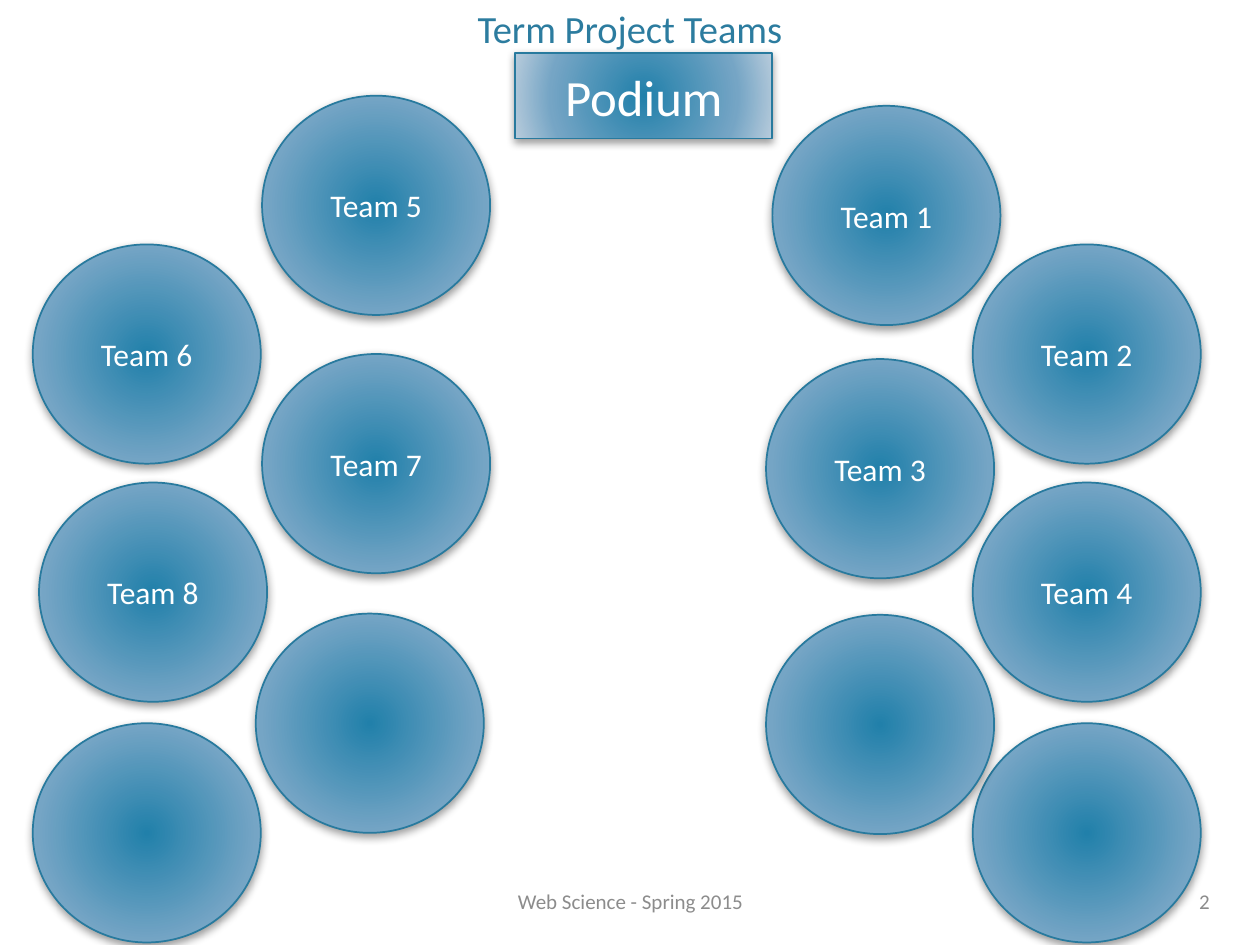
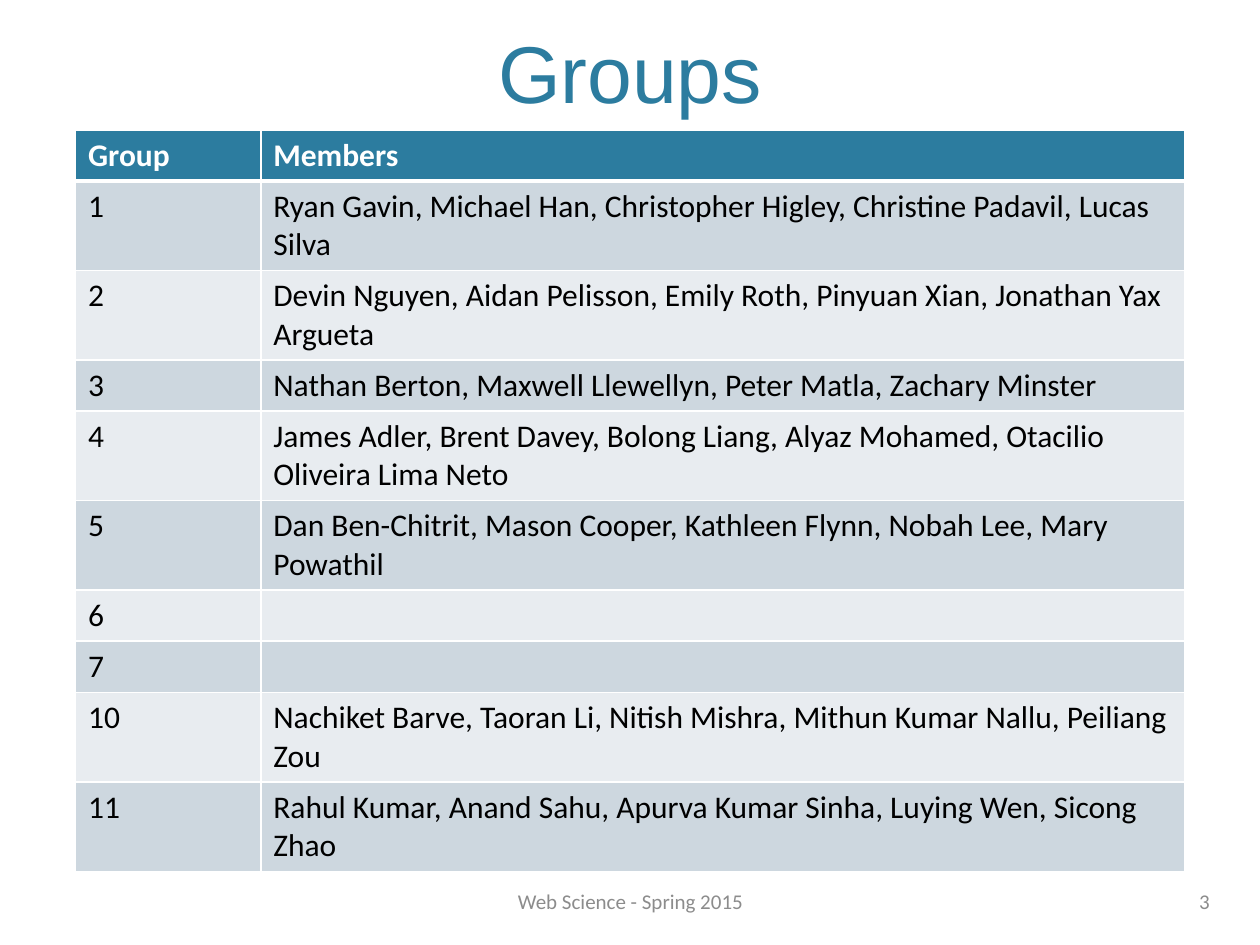
from lxml.etree import SubElement
from pptx import Presentation
from pptx.dml.color import RGBColor
from pptx.enum.shapes import MSO_SHAPE as SHAPE
from pptx.enum.text import MSO_ANCHOR as ANCHOR, MSO_AUTO_SIZE as AUTO, PP_ALIGN as ALIGN
from pptx.oxml import parse_xml
from pptx.oxml.ns import nsdecls, qn
from pptx.util import Inches, Pt

# Shared look
TEAL = RGBColor(0x2C, 0x7C, 0x9F)
OUTLINE = RGBColor(0x28, 0x7A, 0x9E)
WHITE = RGBColor(0xFF, 0xFF, 0xFF)
BLACK = RGBColor(0, 0, 0)
GREY = RGBColor(0x8C, 0x8C, 0x8C)
BAND_DARK = RGBColor(0xCD, 0xD7, 0xDF)
BAND_LIGHT = RGBColor(0xE8, 0xEC, 0xF0)
GLOW = [(0, RGBColor(0x21, 0x80, 0xAA)), (69, RGBColor(0x75, 0xA5, 0xC5)),
        (100, RGBColor(0xB8, 0xCC, 0xDC))]
BODY_FONT = "Calibri"
FOOTER = "Web Science - Spring 2015"

# Seating plan: left, top and label of each table
TABLE_W, TABLE_H = 1.81, 1.74
SEATING = [
    (2.08, 0.76, "Team 5"), (0.26, 1.94, "Team 6"),
    (7.72, 5.74, ""), (6.08, 4.88, ""),
    (7.72, 3.83, "Team 4"), (6.08, 2.85, "Team 3"),
    (7.72, 1.94, "Team 2"), (6.13, 0.84, "Team 1"),
    (2.08, 2.81, "Team 7"), (0.31, 3.83, "Team 8"),
    (2.03, 4.87, ""), (0.26, 5.74, ""),
]

GROUPS = [
    ("Group", "Members"),
    ("1", "Ryan Gavin, Michael Han, Christopher Higley, Christine Padavil, Lucas Silva"),
    ("2", "Devin Nguyen, Aidan Pelisson, Emily Roth, Pinyuan Xian, Jonathan Yax Argueta"),
    ("3", "Nathan Berton, Maxwell Llewellyn, Peter Matla, Zachary Minster"),
    ("4", "James Adler, Brent Davey, Bolong Liang, Alyaz Mohamed, Otacilio Oliveira Lima Neto"),
    ("5", "Dan Ben-Chitrit, Mason Cooper, Kathleen Flynn, Nobah Lee, Mary Powathil"),
    ("6", ""),
    ("7", ""),
    ("10", "Nachiket Barve, Taoran Li, Nitish Mishra, Mithun Kumar Nallu, Peiliang Zou"),
    ("11", "Rahul Kumar, Anand Sahu, Apurva Kumar Sinha, Luying Wen, Sicong Zhao"),
]


def set_text(tf, text, size, color, align=ALIGN.LEFT, font=BODY_FONT, bold=False):
    tf.text = text
    p = tf.paragraphs[0]
    p.alignment = align
    for r in p.runs:
        r.font.name, r.font.size, r.font.bold = font, Pt(size), bold
        r.font.color.rgb = color


def add_titled_slide(prs, title, box, size, font=BODY_FONT):
    slide = prs.slides.add_slide(prs.slide_layouts[5])
    sp = slide.shapes.title
    sp.left, sp.top, sp.width, sp.height = (Inches(v) for v in box)
    tf = sp.text_frame
    tf.auto_size, tf.vertical_anchor = AUTO.NONE, ANCHOR.BOTTOM
    set_text(tf, title, size, TEAL, ALIGN.CENTER, font)
    return slide


def add_footer(slide, number):
    # The page number stands in the right margin, clear of the seating plan
    for left, width, text, align in ((3.42, 3.17, FOOTER, ALIGN.CENTER),
                                     (9.35, 0.35, str(number), ALIGN.RIGHT)):
        sp = slide.shapes.add_textbox(Inches(left), Inches(6.95), Inches(width), Inches(0.4))
        tf = sp.text_frame
        tf.word_wrap, tf.vertical_anchor = True, ANCHOR.MIDDLE
        set_text(tf, text, 12, GREY, align)


def add_glowing_shape(slide, kind, left, top, width, height, text, size):
    """Preset shape with a radial gradient and a soft shadow below."""
    sp = slide.shapes.add_shape(kind, Inches(left), Inches(top), Inches(width), Inches(height))
    sp.line.color.rgb, sp.line.width = OUTLINE, Pt(1)
    stops = "".join(f'<a:gs pos="{pos * 1000}"><a:srgbClr val="{color}"/></a:gs>'
                    for pos, color in GLOW)
    sp_pr = sp.element.spPr
    sp_pr.find(qn("a:prstGeom")).addnext(parse_xml(
        f'<a:gradFill {nsdecls("a")} rotWithShape="1"><a:gsLst>{stops}</a:gsLst>'
        '<a:path path="circle"><a:fillToRect l="100000" t="100000" r="100000" b="100000"/>'
        '</a:path></a:gradFill>'))
    sp_pr.append(parse_xml(
        f'<a:effectLst {nsdecls("a")}><a:outerShdw blurRad="{Pt(5)}" dist="{Pt(2)}" '
        'dir="5400000" rotWithShape="0"><a:srgbClr val="000000"><a:alpha val="40000"/>'
        '</a:srgbClr></a:outerShdw></a:effectLst>'))
    if text:
        tf = sp.text_frame
        tf.word_wrap, tf.vertical_anchor = True, ANCHOR.MIDDLE
        set_text(tf, text, size, WHITE, ALIGN.CENTER)


def set_borders(cell, top=1, bottom=1):
    tc_pr = cell._tc.get_or_add_tcPr()
    for side, width in (("L", 1), ("R", 1), ("T", top), ("B", bottom)):
        ln = SubElement(tc_pr, qn(f"a:ln{side}"), w=str(Pt(width)))
        fill = SubElement(ln, qn("a:solidFill"))
        SubElement(fill, qn("a:srgbClr"), val=str(WHITE))


def add_group_table(slide, rows):
    row_h = 0.4
    table = slide.shapes.add_table(len(rows), 2, Inches(0.6), Inches(1.03),
                                   Inches(8.8), Inches(row_h * len(rows))).table
    for col, width in zip(table.columns, (1.47, 7.33)):
        col.width = Inches(width)
    for i, row in enumerate(rows):
        table.rows[i].height = Inches(row_h)
        header = i == 0
        band = TEAL if header else BAND_DARK if i % 2 else BAND_LIGHT
        for j, text in enumerate(row):
            cell = table.cell(i, j)
            set_text(cell.text_frame, text, 18, WHITE if header else BLACK, bold=header)
            # Borders come before the fill; a heavy rule parts header and body
            set_borders(cell, top=3 if i == 1 else 1, bottom=3 if header else 1)
            cell.fill.solid()
            cell.fill.fore_color.rgb = band


def main():
    prs = Presentation()
    prs.slide_width, prs.slide_height = Inches(10), Inches(7.5)

    # Seating plan around the podium
    slide = add_titled_slide(prs, "Term Project Teams", (0.5, -0.79, 9, 1.25), 22)
    add_glowing_shape(slide, SHAPE.RECTANGLE, 4.09, 0.42, 2.04, 0.68, "Podium", 29)
    for left, top, team in SEATING:
        add_glowing_shape(slide, SHAPE.OVAL, left, top, TABLE_W, TABLE_H, team, 18)
    add_footer(slide, 2)

    # Group members
    slide = add_titled_slide(prs, "Groups", (0.6, 0, 8.8, 1), 46, "Arial")
    add_group_table(slide, GROUPS)
    add_footer(slide, 3)

    prs.save("out.pptx")


main()
